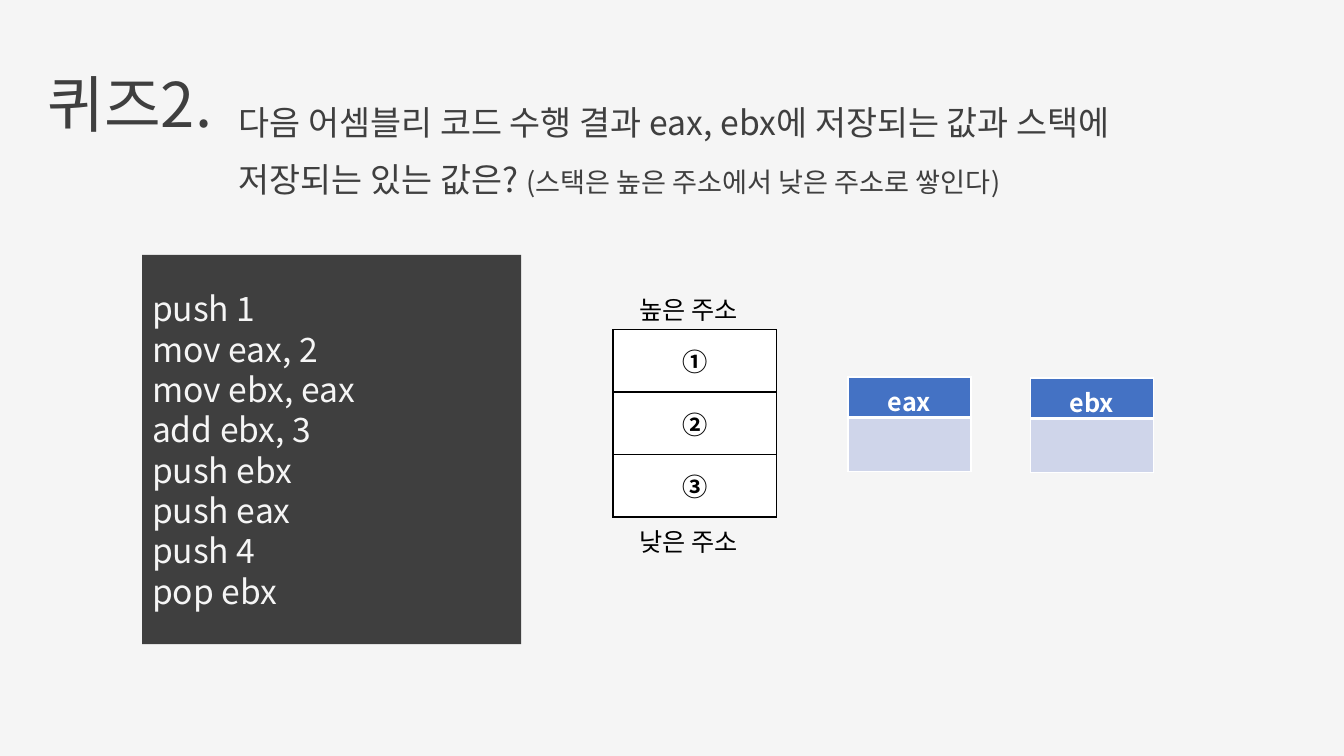
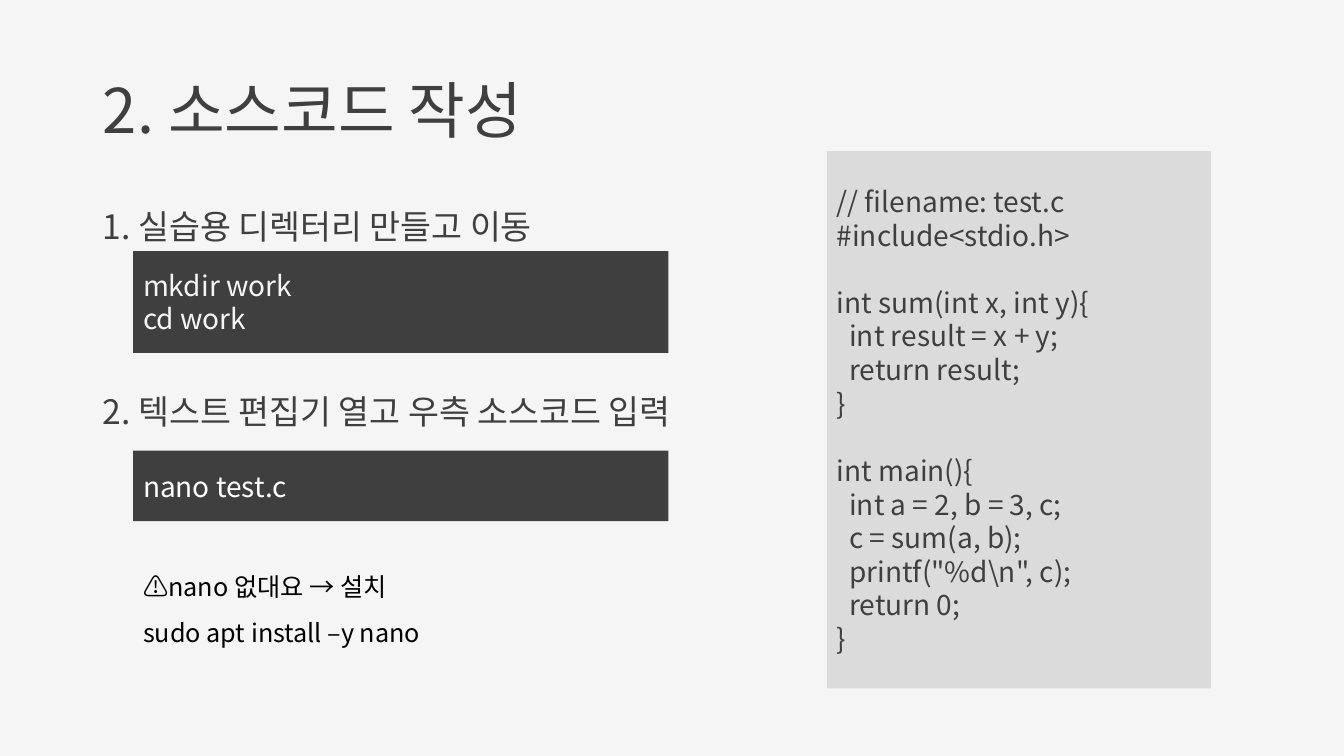
"""Build two lecture slides: an assembly quiz and a source code exercise."""
from lxml.etree import SubElement
from pptx import Presentation
from pptx.dml.color import RGBColor
from pptx.enum.shapes import MSO_SHAPE
from pptx.enum.text import MSO_ANCHOR, MSO_AUTO_SIZE, PP_ALIGN
from pptx.oxml.ns import qn
from pptx.util import Inches, Pt

FONT = "Noto Sans CJK KR"
COLORS = {
    "paper": "F5F5F5",
    "ink": "3F3F3F",
    "black": "000000",
    "white": "FFFFFF",
    "header": "4472C4",
    "register": "CFD5EA",
    "listing": "DBDBDB",
}
ASSEMBLY = """push 1
mov eax, 2
mov ebx, eax
add ebx, 3
push ebx
push eax
push 4
pop ebx"""
SOURCE_CODE = r"""// filename: test.c
#include<stdio.h>

int sum(int x, int y){
  int result = x + y;
  return result;
}

int main(){
  int a = 2, b = 3, c;
  c = sum(a, b);
  printf("%d\n", c);
  return 0;
}"""


def color(name):
    """Return the palette colour with this name."""
    return RGBColor.from_string(COLORS[name])


def style(paragraph, size, ink, bold=False, align=PP_ALIGN.LEFT, spacing=1.0):
    """Format a whole paragraph."""
    paragraph.alignment = align
    paragraph.line_spacing = spacing
    font = paragraph.font
    font.size, font.bold, font.name = Pt(size), bold, FONT
    font.color.rgb = color(ink)
    properties = paragraph._p.pPr.find(qn("a:defRPr"))
    SubElement(properties, qn("a:ea"), typeface=FONT)


def add_title(page, text, left, top, width):
    """Fill and place the title placeholder."""
    title = page.shapes.title
    title.left, title.top = Inches(left), Inches(top)
    title.width, title.height = Inches(width), Inches(1.45)
    frame = title.text_frame
    frame.text = text
    frame.word_wrap = True
    frame.auto_size = MSO_AUTO_SIZE.NONE
    frame.vertical_anchor = MSO_ANCHOR.MIDDLE
    style(frame.paragraphs[0], 44, "ink", spacing=0.9)


def add_text(page, text, left, top, width, height, size, ink="ink", spacing=1.0, wrap=True):
    """Add a text box with one paragraph per line and return its paragraphs."""
    box = page.shapes.add_textbox(Inches(left), Inches(top), Inches(width), Inches(height))
    frame = box.text_frame
    frame.text = text
    frame.word_wrap = wrap
    for paragraph in frame.paragraphs:
        style(paragraph, size, ink, spacing=spacing)
    return frame.paragraphs


def add_code(page, code, left, top, width, height, size, fill="ink", ink="paper"):
    """Add a filled code panel, with one line of space between code blocks."""
    panel = page.shapes.add_shape(
        MSO_SHAPE.RECTANGLE, Inches(left), Inches(top), Inches(width), Inches(height))
    panel.shadow.inherit = False
    panel.fill.solid()
    panel.fill.fore_color.rgb = color(fill)
    panel.line.fill.background()
    frame = panel.text_frame
    frame.word_wrap = True
    frame.vertical_anchor = MSO_ANCHOR.MIDDLE
    blocks = [block.split("\n") for block in code.split("\n\n")]
    for block_index, lines in enumerate(blocks):
        for line_index, line in enumerate(lines):
            first = block_index == line_index == 0
            paragraph = frame.paragraphs[0] if first else frame.add_paragraph()
            paragraph.text = line
            if block_index and not line_index:
                paragraph.space_before = Pt(size * 1.2)
            style(paragraph, size, ink)


def set_borders(cell, border, top=1, bottom=1):
    """Draw the four borders of a table cell, widths in points."""
    properties = cell._tc.get_or_add_tcPr()
    for side, width in (("L", 1), ("R", 1), ("T", top), ("B", bottom)):
        line = SubElement(properties, qn(f"a:ln{side}"), w=str(Pt(width)))
        fill = SubElement(line, qn("a:solidFill"))
        SubElement(fill, qn("a:srgbClr"), val=COLORS[border])


def add_column(page, left, top, width, heights):
    """Add an unstyled table of one column and return its cells."""
    table = page.shapes.add_table(
        len(heights), 1, Inches(left), Inches(top), Inches(width), Inches(sum(heights))).table
    table.first_row = table.horz_banding = False
    for row, height in zip(table.rows, heights):
        row.height = Inches(height)
    return [row.cells[0] for row in table.rows]


def fill_cell(cell, text, fill, ink):
    """Fill a cell and write its bold centred text."""
    cell.fill.solid()
    cell.fill.fore_color.rgb = color(fill)
    cell.text = text
    style(cell.text_frame.paragraphs[0], 18, ink, bold=True, align=PP_ALIGN.CENTER)


def add_stack(page):
    """Add the stack with its address labels."""
    for cell, mark in zip(add_column(page, 6.08, 3.27, 1.62, [0.62] * 3), "①②③"):
        set_borders(cell, "black")
        fill_cell(cell, mark, "white", "black")
        cell.vertical_anchor = MSO_ANCHOR.MIDDLE
    for label, top in (("높은 주소", 2.87), ("낮은 주소", 5.17)):
        add_text(page, label, 6.24, top, 1.3, 0.4, 18, "black", wrap=False)


def add_register(page, name, left, top):
    """Add a register: its name above an empty value."""
    header, value = add_column(page, left, top, 1.22, [0.4, 0.54])
    set_borders(header, "white", bottom=3)
    fill_cell(header, name, "header", "white")
    set_borders(value, "white", top=3)
    fill_cell(value, "", "register", "black")


def build_quiz(page):
    """Build the assembly quiz."""
    add_title(page, "퀴즈2.", 0.37, 0.34, 2.14)
    question = add_text(
        page, "다음 어셈블리 코드 수행 결과 eax, ebx에 저장되는 값과 스택에 저장되는 있는 값은? ",
        2.27, 0.8, 9.93, 1.18, 24.1, spacing=1.4)[0]
    hint = question.add_run()
    hint.text = "(스택은 높은 주소에서 낮은 주소로 쌓인다)"
    hint.font.size = Pt(19.4)
    add_code(page, ASSEMBLY, 1.41, 2.53, 3.76, 3.86, 24)
    add_stack(page)
    add_register(page, "eax", 8.41, 3.74)
    add_register(page, "ebx", 10.22, 3.75)


def build_exercise(page):
    """Build the source code exercise."""
    add_title(page, "2. 소스코드 작성", 0.92, 0.4, 11.5)
    add_text(page, "1. 실습용 디렉터리 만들고 이동", 0.92, 1.79, 6.88, 0.7, 24, spacing=1.5)
    add_code(page, "mkdir work\ncd work", 1.32, 2.49, 5.31, 1.01, 20)
    add_text(page, "2. 텍스트 편집기 열고 우측 소스코드 입력", 0.92, 3.63, 6.88, 0.7, 24, spacing=1.5)
    add_code(page, "nano test.c", 1.32, 4.47, 5.31, 0.7, 20, ink="white")
    add_text(page, "⚠️nano 없대요 → 설치\nsudo apt install –y nano",
             1.32, 5.47, 5.65, 0.95, 18, "black", spacing=1.5)
    add_code(page, SOURCE_CODE, 8.2, 1.5, 3.81, 5.33, 20, "listing", "ink")


def main():
    """Build and save the deck."""
    deck = Presentation()
    deck.slide_width, deck.slide_height = Inches(13.33), Inches(7.5)
    background = deck.slide_master.background.fill
    background.solid()
    background.fore_color.rgb = color("paper")
    title_only = deck.slide_layouts[5]
    for build in (build_quiz, build_exercise):
        build(deck.slides.add_slide(title_only))
    deck.save("out.pptx")


if __name__ == "__main__":
    main()
